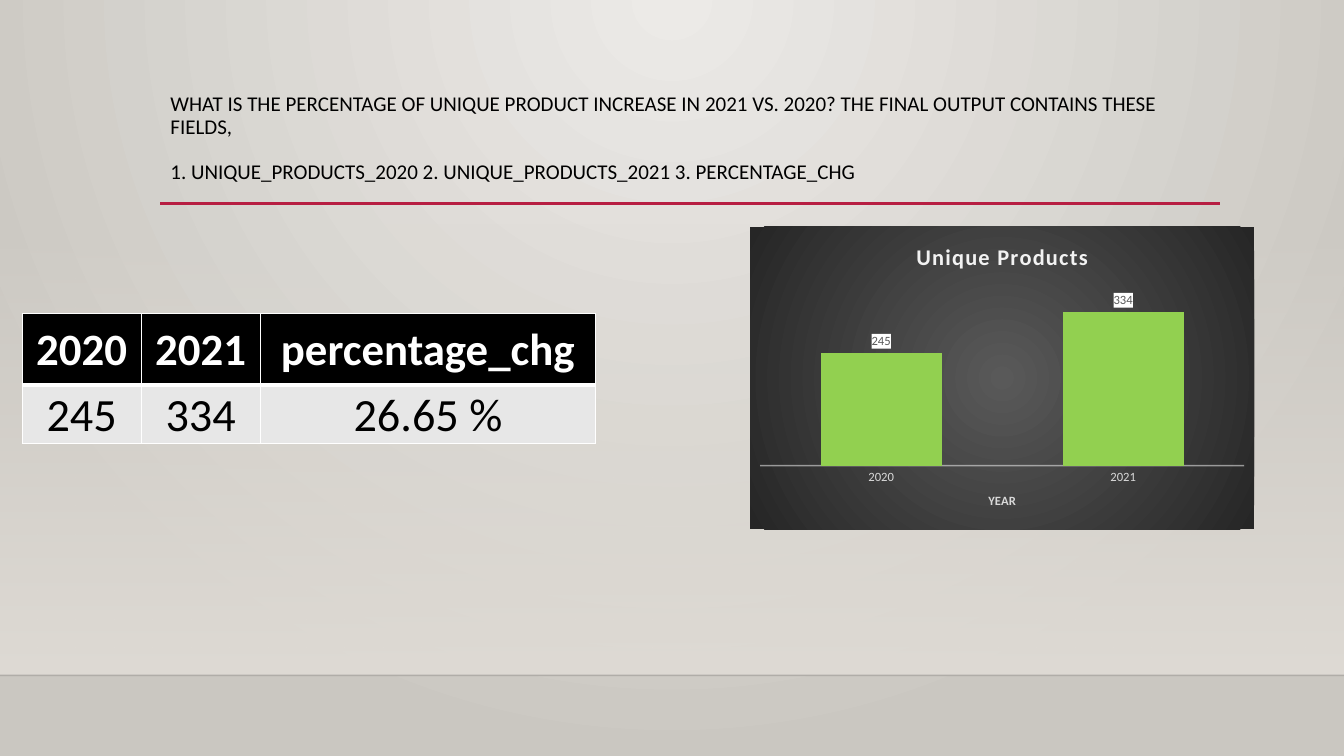
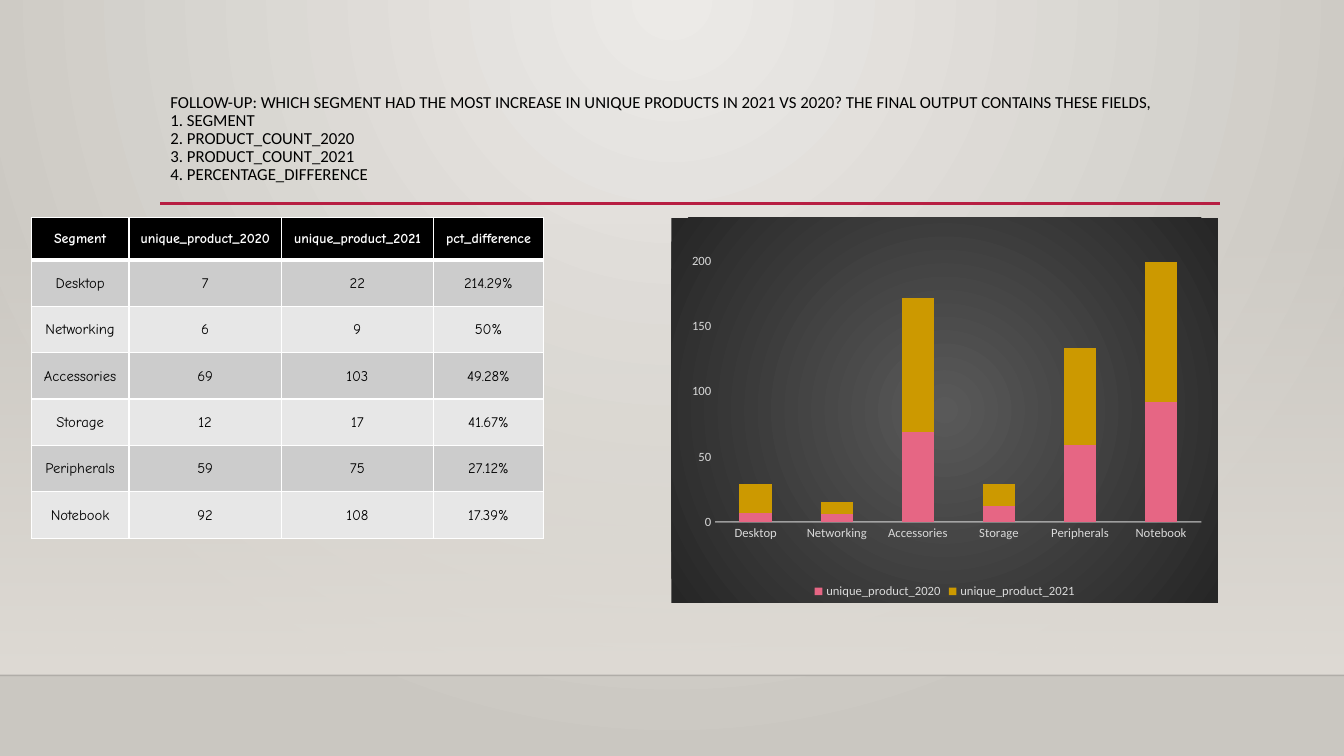
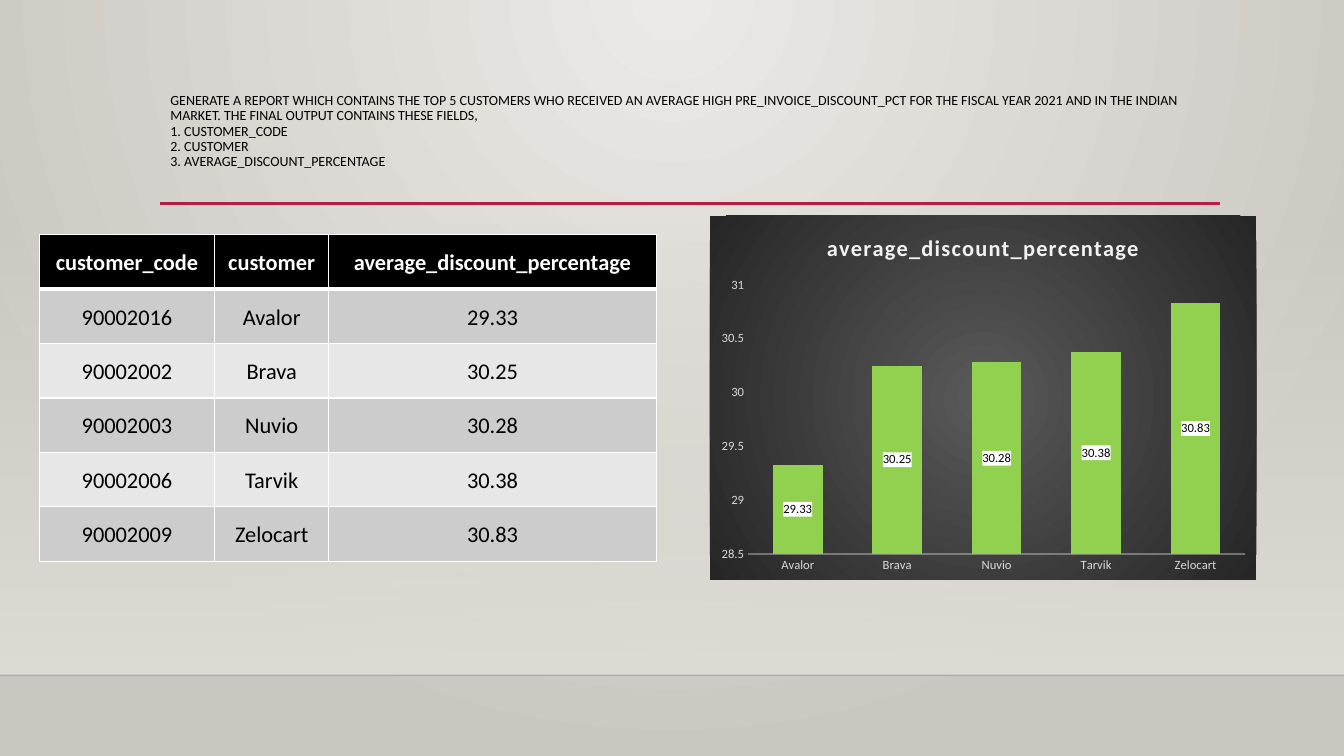
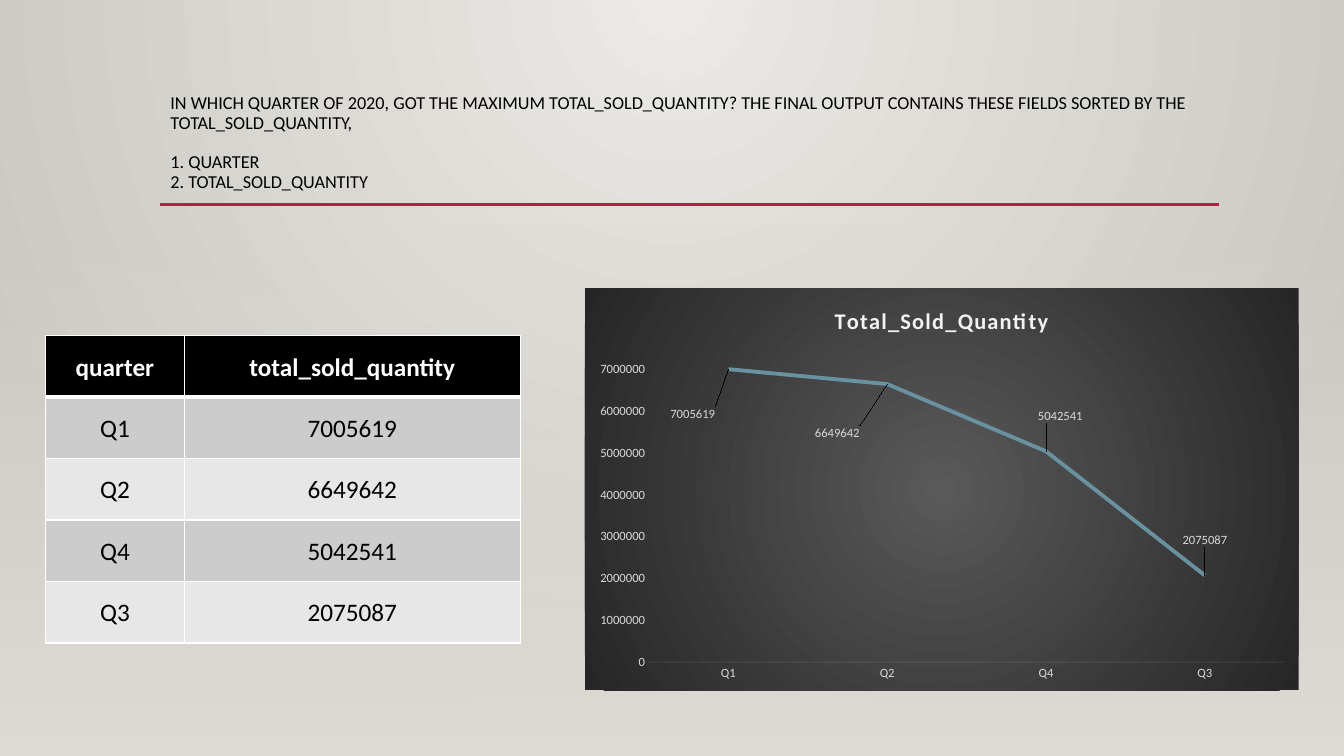
from itertools import cycle

from pptx import Presentation
from pptx import util as u
from pptx.chart.data import CategoryChartData
from pptx.dml.color import RGBColor
from pptx.enum import chart as charts, dml, shapes, text
from pptx.oxml import parse_xml
from pptx.oxml.ns import nsdecls, qn

# Shared look
FONT = "Calibri"
BLACK, WHITE = "000000", "FFFFFF"
RED, GREEN, PINK, GOLD, TEAL = "B71E42", "92D050", "E66684", "CC9900", "6892A0"
PALE, BRIGHT, GREY = "D9D9D9", "F2F2F2", "595959"
BAND_DARK, BAND_LIGHT = "CCCCCC", "E7E7E7"
PAGE_WIDTH, PAGE_HEIGHT = 13.33, 7.5
FLOOR = 6.7
BAND_TOP = 2.21
COLUMNS = charts.XL_CHART_TYPE.COLUMN_CLUSTERED
STACKED = charts.XL_CHART_TYPE.COLUMN_STACKED
LINE = charts.XL_CHART_TYPE.LINE


# Colours, fonts and fills
def rgb(colour):
    return RGBColor.from_string(colour)


def style_font(font, size, colour, bold=False, name=FONT):
    font.size, font.bold, font.name = u.Pt(size), bold, name
    font.color.rgb = rgb(colour)


def gradient(stops, direction):
    marks = "".join(
        f'<a:gs pos="{at * 1000}"><a:srgbClr val="{colour}">'
        f'<a:alpha val="{alpha * 1000}"/></a:srgbClr></a:gs>'
        for at, colour, alpha in stops)
    return (f'<a:gradFill {nsdecls("a")} rotWithShape="1">'
            f"<a:gsLst>{marks}</a:gsLst>{direction}</a:gradFill>")


def radial(inner, outer, left, top, right, bottom):
    return gradient(
        [(0, inner, 100), (100, outer, 100)],
        f'<a:path path="circle"><a:fillToRect l="{left * 1000}" t="{top * 1000}" '
        f'r="{right * 1000}" b="{bottom * 1000}"/></a:path>')


PAGE_FILL = radial("ECEAE7", "CAC7C1", 43, 0, 43, 100)
CHART_FILL = radial(GREY, "262626", 50, 50, 50, 50)
BAND_FILL = gradient([(0, "DFDBD5", 0), (100, "DFDBD5", 100)],
                     '<a:lin ang="5400000" scaled="0"/>')


def swap_fill(holder, fill):
    solid = holder.find(qn("a:solidFill"))
    holder.replace(solid, parse_xml(fill))


def set_alpha(properties, percent):
    colour = next(properties.iter(qn("a:srgbClr")))
    colour.append(parse_xml(f'<a:alpha {nsdecls("a")} val="{percent * 1000}"/>'))


# Backdrop
def add_panel(page, top, bottom, fill):
    panel = page.shapes.add_shape(
        shapes.MSO_SHAPE.RECTANGLE, 0, u.Inches(top),
        u.Inches(PAGE_WIDTH), u.Inches(bottom - top))
    panel.shadow.inherit = False
    panel.line.fill.background()
    panel.fill.solid()
    swap_fill(panel.element.spPr, fill)
    return panel


def add_rule(page, left, right, y, colour, width, alpha=100):
    rule = page.shapes.add_connector(
        shapes.MSO_CONNECTOR.STRAIGHT,
        u.Inches(left), u.Inches(y), u.Inches(right), u.Inches(y))
    rule.line.color.rgb = rgb(colour)
    rule.line.width = u.Pt(width)
    properties = rule.element.spPr
    set_alpha(properties, alpha)
    properties.append(parse_xml(f'<a:effectLst {nsdecls("a")}/>'))
    return rule


def place_behind(target, parts):
    for index, part in enumerate(parts, start=2):
        target.shapes.element.insert(index, part.element)


def prepare_layout(deck):
    master = deck.slide_master
    master.background.fill.solid()
    swap_fill(next(master.element.iter(qn("p:bgPr"))), PAGE_FILL)

    layout = deck.slide_layouts.get_by_name("Title Only")
    for holder in list(layout.placeholders):
        if holder.placeholder_format.type == shapes.PP_PLACEHOLDER.TITLE:
            holder.left, holder.top = u.Inches(1.59), u.Inches(0.88)
            holder.width, holder.height = u.Inches(10.5), u.Inches(1.15)
        else:
            holder.element.getparent().remove(holder.element)
    return layout


def add_shared_backdrop(layout, page):
    """Draw the parts on a page, then move them to the layout."""
    place_behind(layout, [
        add_panel(page, BAND_TOP, FLOOR, BAND_FILL),
        add_rule(page, 0, PAGE_WIDTH, FLOOR, BLACK, 1, alpha=20),
        add_rule(page, 1.59, 12.1, 2.02, RED, 2.5),
    ])


def add_page(deck, layout, size, lines, gap=0):
    page = deck.slides.add_slide(layout)
    frame = page.shapes.title.text_frame
    frame.text = "\n".join(lines)
    frame.word_wrap = True
    frame.auto_size = text.MSO_AUTO_SIZE.NONE
    frame.vertical_anchor = text.MSO_ANCHOR.TOP
    for para in frame.paragraphs:
        para.alignment = text.PP_ALIGN.LEFT
        para.line_spacing = 0.9
        for span in para.runs:
            style_font(span.font, size, BLACK)
    frame.paragraphs[1].space_before = u.Pt(gap)
    return page


# Tables
def set_borders(cell, top, bottom):
    properties = cell._tc.get_or_add_tcPr()
    widths = {"lnL": 1, "lnR": 1, "lnT": top, "lnB": bottom}
    for index, (side, width) in enumerate(widths.items()):
        properties.insert(index, parse_xml(
            f'<a:{side} {nsdecls("a")} w="{u.Pt(width)}"><a:solidFill>'
            f'<a:srgbClr val="{WHITE}"/></a:solidFill></a:{side}>'))


def fill_cell(cell, wording, fill, size, colour, bold, name, inset):
    cell.text = wording
    cell.vertical_anchor = text.MSO_ANCHOR.MIDDLE
    cell.margin_left = cell.margin_right = cell.margin_top = u.Inches(inset)
    cell.margin_bottom = 0
    cell.fill.solid()
    cell.fill.fore_color.rgb = rgb(fill)
    para = cell.text_frame.paragraphs[0]
    para.alignment = text.PP_ALIGN.CENTER
    style_font(para.runs[0].font, size, colour, bold, name)


def add_grid(page, left, top, widths, heights, rows, head_size, body_size,
             name=FONT, inset=0.02, bands=(BAND_DARK, BAND_LIGHT)):
    """heights holds the header height and the height of each body row."""
    head_height, body_height = heights
    table = page.shapes.add_table(
        len(rows), len(widths), u.Inches(left), u.Inches(top),
        u.Inches(sum(widths)),
        u.Inches(head_height + body_height * (len(rows) - 1))).table
    for column, width in zip(table.columns, widths):
        column.width = u.Inches(width)
    band = cycle(bands)
    for index, wordings in enumerate(rows):
        head = index == 0
        table.rows[index].height = u.Inches(head_height if head else body_height)
        fill = BLACK if head else next(band)
        for column, wording in enumerate(wordings):
            cell = table.cell(index, column)
            fill_cell(cell, wording, fill, head_size if head else body_size,
                      WHITE if head else BLACK, head, name, inset)
            set_borders(cell, top=3 if index == 1 else 1, bottom=3 if head else 1)


# Charts
def manual_layout(x, y, size=None):
    places = f'<c:x val="{x}"/><c:y val="{y}"/>'
    if size:
        places = ('<c:layoutTarget val="inner"/><c:xMode val="edge"/>'
                  f'<c:yMode val="edge"/>{places}'
                  f'<c:w val="{size[0]}"/><c:h val="{size[1]}"/>')
    return parse_xml(f'<c:layout {nsdecls("c")}><c:manualLayout>{places}'
                     "</c:manualLayout></c:layout>")


def set_plot_box(chart, x, y, width, height):
    area = next(chart.element.iter(qn("c:plotArea")))
    for old in area.findall(qn("c:layout")):
        area.remove(old)
    area.insert(0, manual_layout(x, y, (width, height)))


def box_properties(fill, line=""):
    return parse_xml(f'<c:spPr {nsdecls("c", "a")}>{fill}'
                     f'<a:ln>{line or "<a:noFill/>"}</a:ln></c:spPr>')


def solid_fill(colour):
    return f'<a:solidFill><a:srgbClr val="{colour}"/></a:solidFill>'


def style_axes(chart, scale, line_width, line_alpha):
    across, up = chart.category_axis, chart.value_axis
    for axis in (across, up):
        axis.has_major_gridlines = False
        axis.major_tick_mark = axis.minor_tick_mark = charts.XL_TICK_MARK.NONE
        style_font(axis.tick_labels.font, 9, PALE)
    across.format.line.color.rgb = rgb(BRIGHT)
    across.format.line.width = u.Pt(line_width)
    properties = next(chart.element.iter(qn("c:catAx"))).find(qn("c:spPr"))
    set_alpha(properties, line_alpha)
    up.format.line.fill.background()
    up.minimum_scale, up.maximum_scale, up.major_unit = scale


def add_chart(page, kind, frame, categories, series, colours, scale, plot_box,
              title=None, line_width=1, line_alpha=54):
    data = CategoryChartData()
    data.categories = categories
    for name, values in series.items():
        data.add_series(name, values)
    chart = page.shapes.add_chart(kind, *map(u.Inches, frame), data).chart
    style_font(chart.font, 10, BLACK)
    chart.element.find(qn("c:chart")).addnext(box_properties(CHART_FILL))
    chart.has_legend = False
    chart.has_title = title is not None
    if title:
        chart.chart_title.text_frame.text = title
        span = chart.chart_title.text_frame.paragraphs[0].runs[0]
        style_font(span.font, 16, BRIGHT, bold=True)
        next(chart.element.iter(qn("a:r"))).find(qn("a:rPr")).set("spc", "100")
    style_axes(chart, scale, line_width, line_alpha)
    set_plot_box(chart, *plot_box)

    plot = chart.plots[0]
    plot.vary_by_categories = False
    for item, colour in zip(plot.series, colours):
        if kind == LINE:
            item.smooth = False
            item.format.line.color.rgb = rgb(colour)
            item.format.line.width = u.Pt(2.75)
        else:
            item.format.fill.solid()
            item.format.fill.fore_color.rgb = rgb(colour)
    if kind != LINE:
        plot.gap_width, plot.overlap = (150, 100) if kind == STACKED else (100, -24)
    return chart


def add_boxed_labels(chart, position, colour, outline=""):
    plot = chart.plots[0]
    plot.has_data_labels = True
    labels = plot.data_labels
    labels.show_value = True
    labels.position = position
    style_font(labels.font, 9, colour)
    holder = next(chart.element.iter(qn("c:dLbls")))
    holder.find(qn("c:txPr")).addprevious(
        box_properties(solid_fill(WHITE), outline))


def add_shifted_labels(chart, shifts):
    points = chart.plots[0].series[0].points
    for index in range(len(shifts)):
        label = points[index].data_label
        style_font(label.font, 9, PALE)
        label.position = charts.XL_LABEL_POSITION.ABOVE
    for holder, shift in zip(chart.element.iter(qn("c:dLbl")), shifts):
        holder.find(qn("c:idx")).addnext(manual_layout(*shift))


# Pages
def add_increase_page(deck, layout):
    page = add_page(deck, layout, 15, [
        "WHAT IS THE PERCENTAGE OF UNIQUE PRODUCT INCREASE IN 2021 VS. 2020? "
        "THE FINAL OUTPUT CONTAINS THESE FIELDS,",
        "1. UNIQUE_PRODUCTS_2020 2. UNIQUE_PRODUCTS_2021 3. PERCENTAGE_CHG",
    ], gap=16)
    add_shared_backdrop(layout, page)
    add_grid(page, 0.22, 3.11, [1.18, 1.18, 3.33], (0.71, 0.57), [
        ("2020", "2021", "percentage_chg"),
        ("245", "334", "26.65 %"),
    ], 32, 33, bands=(BAND_LIGHT,))
    chart = add_chart(
        page, COLUMNS, (7.44, 2.25, 5, 3), ["2020", "2021"],
        {"Series 1": (245, 334)}, [GREEN], (0, 400, 100),
        (0.02, 0.18, 0.96, 0.61), title="Unique Products")
    chart.value_axis.visible = False
    year = chart.category_axis.axis_title.text_frame
    year.text = "YEAR"
    style_font(year.paragraphs[0].runs[0].font, 9, PALE, bold=True)
    add_boxed_labels(chart, charts.XL_LABEL_POSITION.OUTSIDE_END, GREY)


def add_segment_page(deck, layout):
    page = add_page(deck, layout, 12, [
        "FOLLOW-UP: WHICH SEGMENT HAD THE MOST INCREASE IN UNIQUE PRODUCTS IN "
        "2021 VS 2020? THE FINAL OUTPUT CONTAINS THESE FIELDS,",
        "1. SEGMENT", "2. PRODUCT_COUNT_2020", "3. PRODUCT_COUNT_2021",
        "4. PERCENTAGE_DIFFERENCE",
    ])
    segments = ["Desktop", "Networking", "Accessories", "Storage",
                "Peripherals", "Notebook"]
    counts = {"unique_product_2020": (7, 6, 69, 12, 59, 92),
              "unique_product_2021": (22, 9, 103, 17, 75, 108)}
    changes = ["214.29%", "50%", "49.28%", "41.67%", "27.12%", "17.39%"]
    body = [(segment, str(before), str(after), change) for
            segment, before, after, change in
            zip(segments, *counts.values(), changes)]
    add_grid(page, 0.31, 2.16, [0.97, 1.51, 1.51, 1.09], (0.42, 0.46),
             [("Segment", *counts, "pct_difference"), *body],
             10, 10.5, name="Comic Neue", inset=0.01)
    chart = add_chart(
        page, STACKED, (6.66, 2.16, 5.42, 3.82), segments, counts,
        [PINK, GOLD], (0, 225, 50), (0.08, 0.03, 0.89, 0.76))
    chart.has_legend = True
    chart.legend.position = charts.XL_LEGEND_POSITION.BOTTOM
    chart.legend.include_in_layout = False
    style_font(chart.legend.font, 9, PALE)


def add_customer_page(deck, layout):
    page = add_page(deck, layout, 10, [
        "GENERATE A REPORT WHICH CONTAINS THE TOP 5 CUSTOMERS WHO RECEIVED AN "
        "AVERAGE HIGH PRE_INVOICE_DISCOUNT_PCT FOR THE FISCAL YEAR 2021 AND IN "
        "THE INDIAN MARKET. THE FINAL OUTPUT CONTAINS THESE FIELDS,",
        "1. CUSTOMER_CODE", "2. CUSTOMER", "3. AVERAGE_DISCOUNT_PERCENTAGE",
    ])
    codes = ["90002016", "90002002", "90002003", "90002006", "90002009"]
    customers = ["Avalor", "Brava", "Nuvio", "Tarvik", "Zelocart"]
    discounts = [29.33, 30.25, 30.28, 30.38, 30.83]
    measure = "average_discount_percentage"
    add_grid(page, 0.39, 2.33, [1.74, 1.13, 3.25], (0.54, 0.54),
             [("customer_code", "customer", measure),
              *zip(codes, customers, map(str, discounts))], 16, 16)
    chart = add_chart(
        page, COLUMNS, (7.04, 2.14, 5.42, 3.61), customers,
        {measure: discounts}, [GREEN], (28.5, 31, 0.5),
        (0.07, 0.19, 0.91, 0.74), title=measure)
    add_boxed_labels(chart, charts.XL_LABEL_POSITION.CENTER, BLACK,
                     outline=solid_fill(BLACK))


def add_quarter_page(deck, layout):
    page = add_page(deck, layout, 13, [
        "IN WHICH QUARTER OF 2020, GOT THE MAXIMUM TOTAL_SOLD_QUANTITY? THE "
        "FINAL OUTPUT CONTAINS THESE FIELDS SORTED BY THE TOTAL_SOLD_QUANTITY,",
        "1. QUARTER", "2. TOTAL_SOLD_QUANTITY",
    ], gap=14)
    # This page has its own backdrop, without the floor
    place_behind(page, [
        add_panel(page, 0, PAGE_HEIGHT, PAGE_FILL),
        add_rule(page, 1.59, 12.09, 2.03, RED, 2.5),
        add_panel(page, BAND_TOP, PAGE_HEIGHT, BAND_FILL),
    ])
    quarters = ["Q1", "Q2", "Q4", "Q3"]
    quantities = [7005619, 6649642, 5042541, 2075087]
    add_grid(page, 0.45, 3.33, [1.38, 3.33], (0.61, 0.61),
             [("quarter", "total_sold_quantity"),
              *zip(quarters, map(str, quantities))], 18, 18)
    chart = add_chart(
        page, LINE, (5.8, 2.86, 7.08, 3.99), quarters,
        {"Series 1": quantities}, [TEAL], (0, 7500000, 1000000),
        (0.09, 0.15, 0.89, 0.78), title="Total_Sold_Quantity",
        line_width=0.75, line_alpha=10)
    add_shifted_labels(
        chart, [(-0.05, 0.14), (-0.07, 0.15), (0.02, -0.06), (0, -0.06)])


def main():
    deck = Presentation()
    deck.slide_width = u.Inches(PAGE_WIDTH)
    deck.slide_height = u.Inches(PAGE_HEIGHT)
    layout = prepare_layout(deck)
    add_increase_page(deck, layout)
    add_segment_page(deck, layout)
    add_customer_page(deck, layout)
    add_quarter_page(deck, layout)
    deck.save("out.pptx")


if __name__ == "__main__":
    main()
